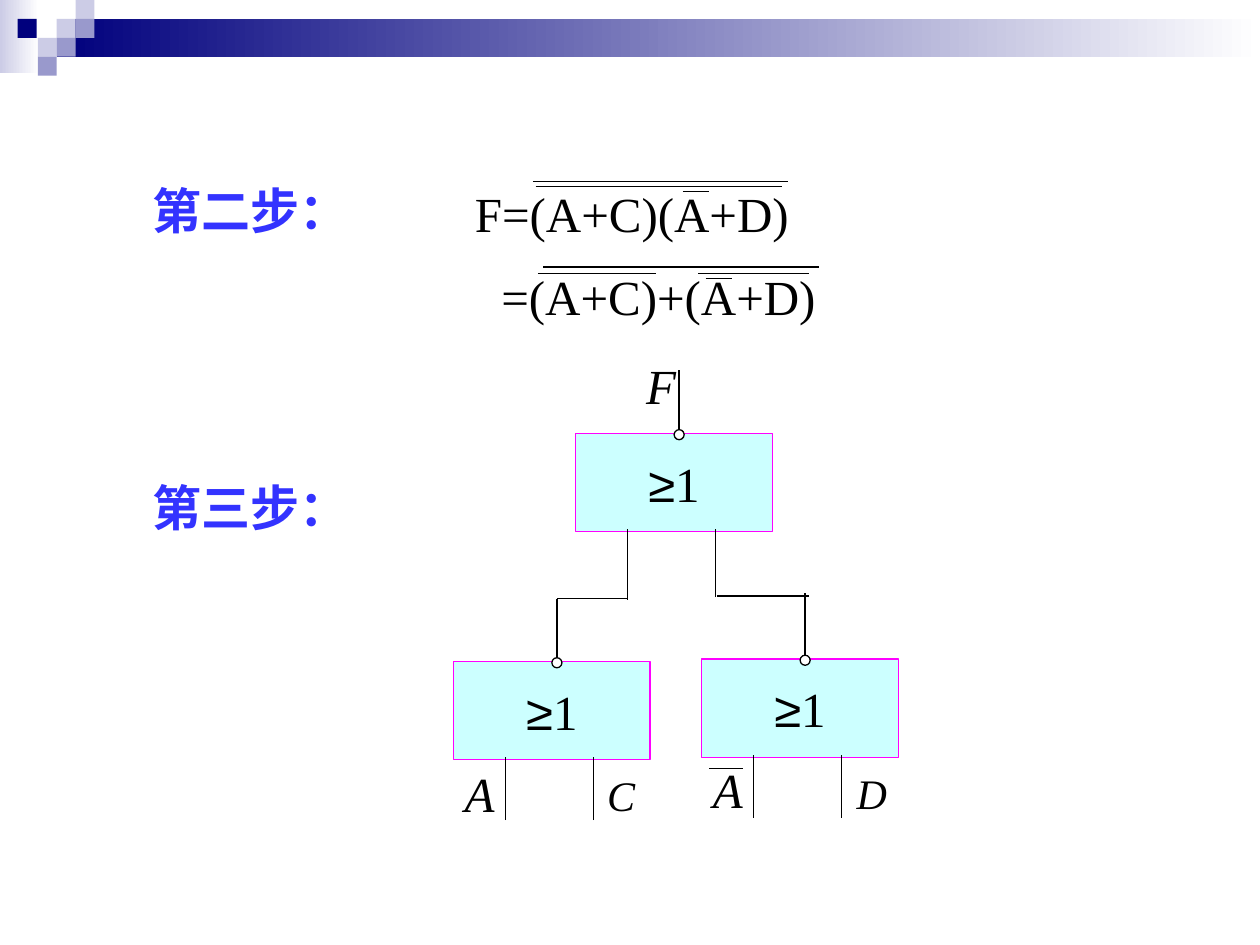
from lxml.etree import SubElement
from pptx import Presentation
from pptx.dml.color import RGBColor
from pptx.enum.shapes import MSO_CONNECTOR as Connector, MSO_SHAPE as Shape
from pptx.enum.text import MSO_ANCHOR as Anchor, MSO_AUTO_SIZE as AutoSize, PP_ALIGN as Align
from pptx.oxml.ns import qn
from pptx.util import Emu, Pt

EMU_PER_PX = 9144
SERIF = "Times New Roman"
BLACK, WHITE, BLUE = "000000", "FFFFFF", "3333FF"
NAVY, LILAC, VIOLET = "00007D", "CCCCE6", "9999CC"
CYAN, MAGENTA = "CCFFFF", "FF00FF"
GATE_WIDTH, GATE_HEIGHT = 156, 78
OUTPUT_X, INPUT_XS = 82, (41, 111)
BUBBLE = 8
TILE = 15
TILES = [(45, 15, LILAC), (60, 0, LILAC), (60, 15, VIOLET), (30, 30, LILAC),
         (14, 15, NAVY), (45, 30, VIOLET), (30, 45, VIOLET)]


def px(length):
    """Turn a length in px, 100 to the inch, into EMU."""
    return Emu(length * EMU_PER_PX)


def color(code):
    """Return the colour of a hex string."""
    return RGBColor.from_string(code)


def add_run(paragraph, text, size=28, font=SERIF, code=BLACK, bold=False, italic=False):
    """Append one formatted run."""
    run = paragraph.add_run()
    run.text = text
    run.font.name, run.font.size = font, Pt(size)
    run.font.bold, run.font.italic = bold, italic
    run.font.color.rgb = color(code)


def add_text(slide, left, top, width, height, text, wrap=False, **style):
    """Add a one-line text box."""
    box = slide.shapes.add_textbox(px(left), px(top), px(width), px(height))
    box.text_frame.word_wrap = wrap
    box.text_frame.auto_size = AutoSize.SHAPE_TO_FIT_TEXT
    add_run(box.text_frame.paragraphs[0], text, **style)


def add_block(slide, left, top, width, height, fill, line=None, kind=Shape.RECTANGLE):
    """Add a preset shape with a plain fill and an optional outline."""
    shape = slide.shapes.add_shape(kind, px(left), px(top), px(width), px(height))
    shape.shadow.inherit = False
    shape.fill.solid()
    shape.fill.fore_color.rgb = color(fill)
    if line:
        shape.line.color.rgb = color(line)
        shape.line.width = Pt(0.75)
    else:
        shape.line.fill.background()
    return shape


def add_fade(slide, left, top, width, height, code):
    """Add a bar that fades to white towards the right."""
    bar = add_block(slide, left, top, width, height, code)
    bar.fill.gradient()
    bar.fill.gradient_angle = 180
    for stop, stop_code in zip(bar.fill.gradient_stops, (WHITE, code)):
        stop.color.rgb = color(stop_code)


def add_line(slide, x1, y1, x2, y2, weight=1):
    """Add a straight black line."""
    line = slide.shapes.add_connector(Connector.STRAIGHT, px(x1), px(y1), px(x2), px(y2))
    line.line.color.rgb = color(BLACK)
    line.line.width = Pt(weight)
    SubElement(line._element.spPr, qn("a:effectLst"))


def add_gate(slide, left, top, output_length, input_lengths):
    """Add a NOR gate with its output, inputs and inversion bubble."""
    gate = add_block(slide, left, top, GATE_WIDTH, GATE_HEIGHT, CYAN, MAGENTA)
    gate.text_frame.vertical_anchor = Anchor.MIDDLE
    paragraph = gate.text_frame.paragraphs[0]
    paragraph.alignment = Align.CENTER
    add_run(paragraph, "≥", font="Arial")
    add_run(paragraph, "1")
    output = left + OUTPUT_X
    add_line(slide, output, top, output, top - output_length, 0.75)
    input_top = top + GATE_HEIGHT - 2
    for offset, length in zip(INPUT_XS, input_lengths):
        add_line(slide, left + offset, input_top + length, left + offset, input_top, 0.75)
    add_block(slide, output - BUBBLE // 2, top - 3, BUBBLE, BUBBLE, WHITE, BLACK, Shape.OVAL)


def add_banner(slide):
    """Add the fading bars and tiles at the top."""
    add_fade(slide, 0, 0, 31, 58, LILAC)
    add_fade(slide, 45, 15, 955, 30, NAVY)
    for left, top, code in TILES:
        add_block(slide, left, top, TILE, TILE, code)


def add_formula(slide, left, top, text, overbars):
    """Add a formula with its negation bars."""
    add_text(slide, left, top, 269, 57, text)
    for start, end, y in overbars:
        add_line(slide, start, y, end, y)


def add_circuit(slide):
    """Add the three gates, their wires and their signal names."""
    add_gate(slide, 457, 344, 50, (56, 54))
    add_gate(slide, 360, 525, 50, (50, 50))
    add_gate(slide, 557, 523, 52, (50, 50))
    add_line(slide, 442, 475, 498, 475)
    add_line(slide, 569, 473, 642, 473)
    for left, top, name in [(503, 277, "F"), (359, 601, "A"), (556, 598, "A")]:
        add_text(slide, left, top, 44, 57, name, italic=True)
    for left, top, width, name in [(472, 606, 42, "C"), (670, 604, 44, "D")]:
        add_text(slide, left, top, width, 50, name, size=24, italic=True)
    add_line(slide, 563, 610, 590, 610)


def main():
    """Build the slide and save it."""
    presentation = Presentation()
    presentation.slide_width, presentation.slide_height = px(1000), px(750)
    slide = presentation.slides.add_slide(presentation.slide_layouts[6])
    add_banner(slide)
    for top, width, step in [(138, 255, "第二步："), (374, 271, "第三步：")]:
        add_text(slide, 111, top, width, 57, step, wrap=True, code=BLUE, bold=True)
    add_formula(slide, 367, 141, "F=(A+C)(A+D)",
                [(542, 563, 152), (425, 621, 148), (423, 625, 144)])
    add_formula(slide, 388, 207, "=(A+C)+(A+D)",
                [(560, 581, 221), (431, 650, 212), (554, 642, 217), (427, 521, 217)])
    add_circuit(slide)
    presentation.save("out.pptx")


if __name__ == "__main__":
    main()
